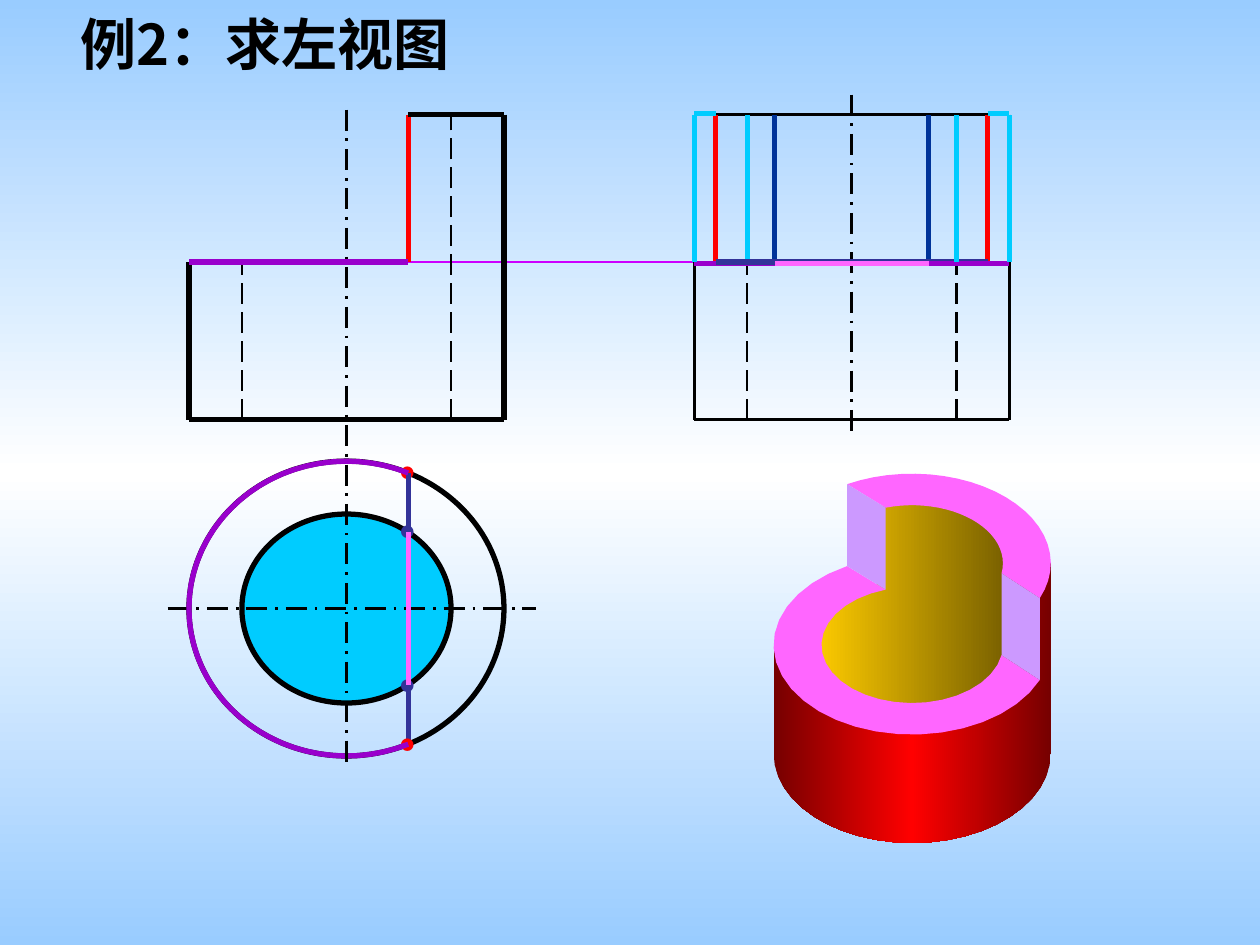
"""Build the slide on finding the left view of a notched hollow cylinder."""
import math
import lxml.etree
import pptx
import pptx.dml.color
import pptx.enum.dml
import pptx.enum.shapes
import pptx.enum.text
import pptx.oxml.ns
import pptx.util

Inches = pptx.util.Inches
Pt = pptx.util.Pt
RGB = pptx.dml.color.RGBColor.from_string
qn = pptx.oxml.ns.qn
FONT = "Noto Sans CJK SC"
DASH = pptx.enum.dml.MSO_LINE.LONG_DASH
AXIS = pptx.enum.dml.MSO_LINE.LONG_DASH_DOT
COLORS = {
    "black": "000000", "white": "FFFFFF", "sky": "99CCFF", "red": "FF0000",
    "magenta": "CC00FF", "cyan": "00CCFF", "navy": "003399", "indigo": "333399",
    "purple": "9900CC", "pink": "FF66FF", "lilac": "CC99FF",
    "maroon": "760000", "gold": "FFCC00", "bronze": "765E00",
}

FRONT_X, SIDE_X, PLAN_Y = 2.75, 6.76, 4.83
TOP, STEP, BASE = 0.91, 2.08, 3.33
OUTER, INNER = (1.25, 1.17), (0.83, 0.75)
CUT = 0.49
CUT_X = FRONT_X + CUT
OUTER_CHORD, INNER_CHORD = [
    round(ry * math.sqrt(1 - (CUT / rx) ** 2), 2) for rx, ry in (OUTER, INNER)]
FRONT_LEFT, FRONT_RIGHT = FRONT_X - OUTER[0], FRONT_X + OUTER[0]
SIDE_LEFT, SIDE_RIGHT = SIDE_X - OUTER[0], SIDE_X + OUTER[0]
SIDES = (-1, 1)


def ellipse_arc(center, radii, start, end, steps=24):
    angles = [math.radians(start + (end - start) * i / steps) for i in range(steps + 1)]
    return [(center[0] + radii[0] * math.cos(angle), center[1] + radii[1] * math.sin(angle))
            for angle in angles]


def draw_lines(color, width, dash, ends):
    for x1, y1, x2, y2 in ends:
        line = page.shapes.add_connector(
            pptx.enum.shapes.MSO_CONNECTOR.STRAIGHT,
            Inches(x1), Inches(y1), Inches(x2), Inches(y2))
        line.line.color.rgb = RGB(COLORS[color])
        line.line.width = Pt(width)
        if dash is not None:
            line.line.dash_style = dash
        lxml.etree.SubElement(line._element.spPr, qn("a:effectLst"))


deck = pptx.Presentation()
deck.slide_width, deck.slide_height = Inches(10), Inches(7.5)
page = deck.slides.add_slide(deck.slide_layouts[6])
gradients = [(page.background.fill, page.element, 270, ["sky", "white", "sky"])]

title = page.shapes.add_textbox(Inches(0.54), Inches(0.03), Inches(3.34), Inches(0.64))
title.text_frame.text = "例2：求左视图"
title.text_frame.word_wrap = True
labels = [(title, 32, "black")]

draw_lines("magenta", 0.75, None, [(CUT_X, STEP, SIDE_RIGHT, STEP)])
draw_lines("red", 3, None, [(CUT_X, PLAN_Y - OUTER_CHORD, CUT_X, PLAN_Y + OUTER_CHORD)])

for (rx, ry), color in [(INNER, "cyan"), (OUTER, None)]:
    circle = page.shapes.add_shape(
        pptx.enum.shapes.MSO_SHAPE.OVAL, Inches(FRONT_X - rx), Inches(PLAN_Y - ry),
        Inches(2 * rx), Inches(2 * ry))
    circle.shadow.inherit = False
    circle.line.color.rgb = RGB(COLORS["black"])
    circle.line.width = Pt(3)
    if color:
        circle.fill.solid()
        circle.fill.fore_color.rgb = RGB(COLORS[color])
    else:
        circle.fill.background()

front_outline = [
    (FRONT_LEFT, BASE, FRONT_RIGHT, BASE), (FRONT_RIGHT, TOP, FRONT_RIGHT, BASE),
    (FRONT_LEFT, STEP, CUT_X, STEP), (FRONT_LEFT, STEP, FRONT_LEFT, BASE),
    (CUT_X, TOP, FRONT_RIGHT, TOP)]
side_outline = [(SIDE_LEFT, y, SIDE_RIGHT, y) for y in (TOP, BASE)]
side_outline += [(x, TOP, x, BASE) for x in (SIDE_LEFT, SIDE_RIGHT)]
hidden_bore = [(FRONT_X - INNER[0], BASE, FRONT_X - INNER[0], STEP),
               (FRONT_X + INNER[0], BASE, FRONT_X + INNER[0], TOP)]
hidden_bore += [(SIDE_X + side * INNER[0], BASE, SIDE_X + side * INNER[0], TOP)
                for side in SIDES]
draw_lines("red", 3, None, [(CUT_X, TOP, CUT_X, STEP)])
draw_lines("black", 3, None, front_outline)
draw_lines("black", 1.5, None, side_outline)
draw_lines("black", 1.5, DASH, hidden_bore)
draw_lines("black", 1.5, AXIS, [
    (1.33, PLAN_Y, 4.25, PLAN_Y), (SIDE_X, 0.75, SIDE_X, 3.48)])

cut_edges = {
    chord: [(SIDE_X + side * chord, STEP, SIDE_X + side * chord, TOP) for side in SIDES]
    for chord in (OUTER_CHORD, INNER_CHORD, INNER[0], OUTER[0])}
cut_faces = {
    side: [(SIDE_X, STEP, SIDE_X + side * OUTER_CHORD, STEP),
           (CUT_X, PLAN_Y, CUT_X, PLAN_Y + side * OUTER_CHORD)]
    for side in SIDES}
draw_lines("red", 3, None, cut_edges[OUTER_CHORD])
draw_lines("navy", 3, None, cut_edges[INNER_CHORD])
draw_lines("indigo", 3, None, cut_faces[1])

for chord, color in [(INNER_CHORD, "indigo"), (OUTER_CHORD, "red")]:
    for side in SIDES:
        dot = page.shapes.add_textbox(
            Inches(CUT_X - 0.16), Inches(PLAN_Y + side * chord - 0.12),
            Inches(0.29), Inches(0.24))
        dot.text_frame.text = "●"
        dot.text_frame.word_wrap = False
        dot.text_frame.vertical_anchor = pptx.enum.text.MSO_ANCHOR.MIDDLE
        dot.text_frame.paragraphs[0].alignment = pptx.enum.text.PP_ALIGN.CENTER
        labels.append((dot, 8, color))
for box, size, color in labels:
    span = box.text_frame.paragraphs[0].runs[0]
    span.font.size = Pt(size)
    span.font.bold = True
    span.font.name = FONT
    span.font.color.rgb = RGB(COLORS[color])
    lxml.etree.SubElement(span.font._element, qn("a:ea"), typeface=FONT)

draw_lines("purple", 3, None, [
    (SIDE_LEFT, STEP + 0.01, SIDE_RIGHT, STEP + 0.01), (FRONT_LEFT, STEP, CUT_X, STEP)])
draw_lines("cyan", 3, None, cut_edges[OUTER[0]] + cut_edges[INNER[0]] + [
    (SIDE_X + side * OUTER_CHORD, TOP - 0.01, SIDE_X + side * OUTER[0], TOP - 0.01)
    for side in SIDES])
draw_lines("indigo", 3, None, cut_faces[-1])

cut_angle = math.degrees(math.acos(CUT / OUTER[0]))
step_edge = ellipse_arc((FRONT_X, PLAN_Y), OUTER, cut_angle, 360 - cut_angle, 48)

SOLID_X, RIM_UPPER, RIM_LOWER, FOOT = 7.24, 4.47, 5.12, 5.98
upper, lower, foot = [(SOLID_X, y) for y in (RIM_UPPER, RIM_LOWER, FOOT)]
SOLID_OUTER, SOLID_INNER, SOLID_BORE = (1.1, 0.71), (0.72, 0.46), (0.78, 0.52)
OUTER_LEFT, INNER_LEFT, OUTER_RIGHT, INNER_RIGHT = 242, 253, 23, 10

wall = ellipse_arc(foot, SOLID_OUTER, 180, 0) + [
    (SOLID_X + SOLID_OUTER[0], RIM_UPPER), (SOLID_X - SOLID_OUTER[0], RIM_LOWER)]
bore = (ellipse_arc(upper, SOLID_BORE, INNER_LEFT, 360 + INNER_RIGHT)
        + ellipse_arc(lower, SOLID_BORE, INNER_RIGHT, INNER_LEFT))
lower_rim = (ellipse_arc(lower, SOLID_OUTER, OUTER_LEFT, OUTER_RIGHT)
             + ellipse_arc(lower, SOLID_INNER, INNER_RIGHT, INNER_LEFT))
upper_rim = (ellipse_arc(upper, SOLID_OUTER, OUTER_LEFT, 360 + OUTER_RIGHT)
             + ellipse_arc(upper, SOLID_INNER, 360 + INNER_RIGHT, INNER_LEFT))
left_cut, right_cut = [
    [ellipse_arc(center, radii, angle, angle, 1)[0] for center, radii, angle in [
        (upper, SOLID_OUTER, outer), (upper, SOLID_INNER, inner),
        (lower, SOLID_INNER, inner), (lower, SOLID_OUTER, outer)]]
    for outer, inner in [(OUTER_LEFT, INNER_LEFT), (OUTER_RIGHT, INNER_RIGHT)]]

for points, colors in [
        (step_edge, []), (wall, ["maroon", "red", "maroon"]), (bore, ["gold", "bronze"]),
        (lower_rim, ["pink"]), (upper_rim, ["pink"]),
        (left_cut, ["lilac"]), (right_cut, ["lilac"])]:
    corners = [(Inches(x), Inches(y)) for x, y in points]
    builder = page.shapes.build_freeform(*corners[0])
    builder.add_line_segments(corners[1:], close=bool(colors))
    face = builder.convert_to_shape()
    face.shadow.inherit = False
    if colors:
        face.line.fill.background()
    else:
        face.fill.background()
        face.line.color.rgb = RGB(COLORS["purple"])
        face.line.width = Pt(3)
    if len(colors) > 1:
        gradients.append((face.fill, face.element, 0, colors))
    elif colors:
        face.fill.solid()
        face.fill.fore_color.rgb = RGB(COLORS[colors[0]])

for fill, element, angle, names in gradients:
    fill.gradient()
    fill.gradient_angle = angle
    stops = next(element.iter(qn("a:gsLst")))
    for stop in list(stops):
        stops.remove(stop)
    for index, name in enumerate(names):
        position = str(100000 * index // (len(names) - 1))
        stop = lxml.etree.SubElement(stops, qn("a:gs"), pos=position)
        lxml.etree.SubElement(stop, qn("a:srgbClr"), val=COLORS[name])

for side in SIDES:
    draw_lines("pink", 3, None, [
        (CUT_X, PLAN_Y, CUT_X, PLAN_Y + side * INNER_CHORD),
        (SIDE_X, STEP + 0.01, SIDE_X + side * INNER_CHORD, STEP + 0.01)])
draw_lines("black", 1.5, AXIS, [(FRONT_X, 0.87, FRONT_X, 6.1)])

deck.save("out.pptx")
